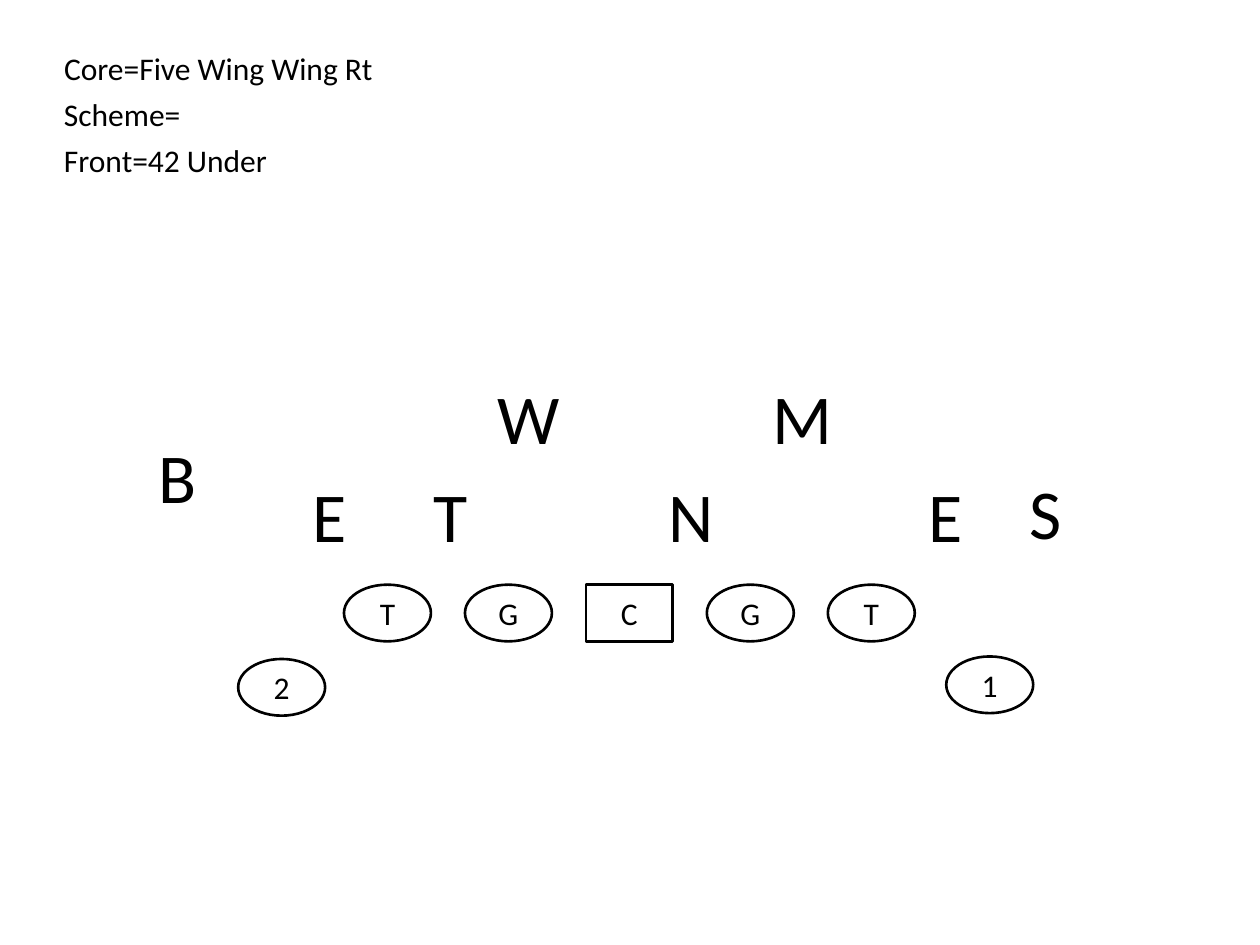
from dataclasses import dataclass

from pptx import Presentation
from pptx.dml.color import RGBColor
from pptx.enum import shapes, text
from pptx.util import Inches, Pt


@dataclass(frozen=True)
class Theme:
    font: str = "Calibri"
    ink: RGBColor = RGBColor(0, 0, 0)
    paper: RGBColor = RGBColor(255, 255, 255)
    small: int = 18
    large: int = 40
    line: float = 1.5


THEME = Theme()
OVAL = shapes.MSO_SHAPE.OVAL
RECT = shapes.MSO_SHAPE.RECTANGLE


def add_run(para, words, size):
    run = para.add_run()
    run.text = words
    run.font.name = THEME.font
    run.font.size = Pt(size)
    run.font.color.rgb = THEME.ink


def add_label(slide, words, size, left, top, width, height):
    box = slide.shapes.add_textbox(
        Inches(left), Inches(top), Inches(width), Inches(height))
    frame = box.text_frame
    frame.word_wrap = False
    frame.auto_size = text.MSO_AUTO_SIZE.SHAPE_TO_FIT_TEXT
    add_run(frame.paragraphs[0], words, size)


def add_player(slide, mark, left, top, kind=OVAL):
    shape = slide.shapes.add_shape(
        kind, Inches(left), Inches(top), Inches(0.69), Inches(0.45))
    shape.shadow.inherit = False
    shape.fill.solid()
    shape.fill.fore_color.rgb = THEME.paper
    shape.line.color.rgb = THEME.ink
    shape.line.width = Pt(THEME.line)
    frame = shape.text_frame
    frame.vertical_anchor = text.MSO_ANCHOR.MIDDLE
    para = frame.paragraphs[0]
    para.alignment = text.PP_ALIGN.CENTER
    add_run(para, mark, THEME.small)


def add_call(slide, left, top):
    rows = [("Core=Five Wing Wing Rt", 2.68), ("Scheme=", 1.14),
            ("Front=42 Under", 1.83)]
    for i, (words, width) in enumerate(rows):
        add_label(slide, words, THEME.small, left, top + i * 0.365, width, 0.4)


def add_front(slide, left, top):
    spots = [("B", 0, 0.47, 0.51), ("E", 1.22, 0.78, 0.48),
             ("T", 2.18, 0.78, 0.48), ("W", 2.69, 0, 0.7),
             ("N", 4.05, 0.78, 0.56), ("M", 4.87, 0, 0.7),
             ("E", 6.11, 0.78, 0.48), ("S", 6.91, 0.76, 0.46)]
    for mark, x, y, width in spots:
        add_label(slide, mark, THEME.large, left + x, top + y, width, 0.77)


def add_core(slide, left, top):
    for i, mark in enumerate("TGCGT"):
        kind = RECT if mark == "C" else OVAL
        add_player(slide, mark, left + 0.84 + i * 0.96, top, kind)
    for mark, x, y in [("2", 0, 0.59), ("1", 5.62, 0.57)]:
        add_player(slide, mark, left + x, top + y)


def main():
    deck = Presentation()
    deck.slide_width = Inches(10)
    deck.slide_height = Inches(7.5)
    slide = deck.slides.add_slide(deck.slide_layouts[6])
    add_call(slide, 0.41, 0.34)
    add_front(slide, 1.16, 2.92)
    add_core(slide, 1.89, 4.64)
    deck.save("out.pptx")


if __name__ == "__main__":
    main()
